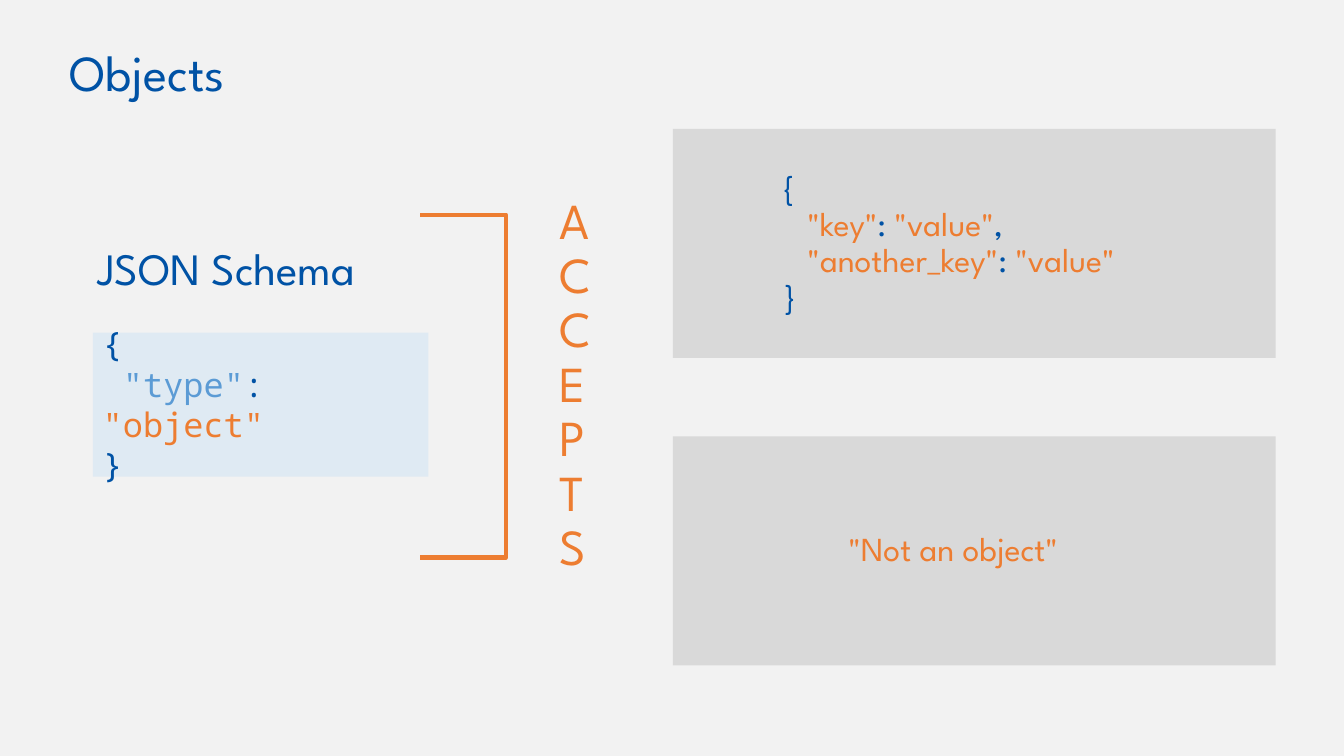
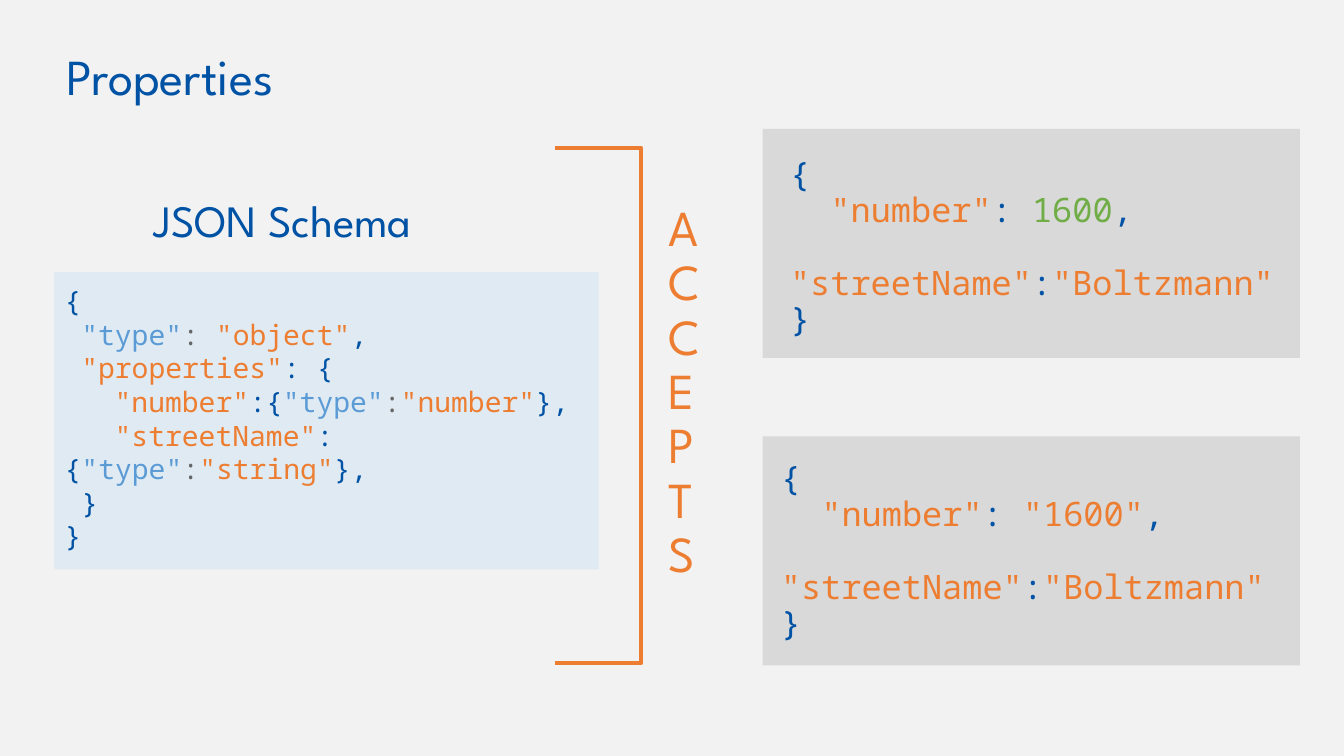
"""Build two slides that show what a JSON Schema accepts."""
import pptx
import pptx.dml.color
import pptx.enum.shapes
import pptx.enum.text
import pptx.util

Cm = pptx.util.Cm
Pt = pptx.util.Pt
SHAPES = pptx.enum.shapes.MSO_SHAPE

BLUE, SKY, ORANGE, GREEN, GREY = "0052A5", "5B9BD5", "ED7D31", "70AD47", "666666"
PAPER, SCHEMA_FILL, CARD_FILL = "F2F2F2", "DFEAF3", "D9D9D9"
SANS, MONO = "League Spartan", "Noto Sans Mono"
CARD_TOPS, CARD_HEIGHT = (3.25, 11), 5.77


def paint(target, colour):
    """Give a fill, or the colour of a font or line, a hex value."""
    if hasattr(target, "solid"):
        target.solid()
        target = target.fore_color
    target.rgb = pptx.dml.color.RGBColor.from_string(colour)


def add_text(page, lines, at, font=SANS, size=24, spacing=0.9, step=0.0, inset=(0.25, 0.13, 0.25, 0.13)):
    """Add lines of (indent in steps, space before, spans of text and colour)."""
    box = page.shapes.add_textbox(*map(Cm, at))
    frame = box.text_frame
    frame.word_wrap = True
    frame.auto_size = pptx.enum.text.MSO_AUTO_SIZE.NONE
    frame.vertical_anchor = pptx.enum.text.MSO_ANCHOR.MIDDLE
    frame.margin_left, frame.margin_top, frame.margin_right, frame.margin_bottom = map(Cm, inset)
    for index, (indent, before, spans) in enumerate(lines):
        para = frame.add_paragraph() if index else frame.paragraphs[0]
        para.line_spacing = spacing
        para.space_before = Pt(before)
        if indent:
            para._p.get_or_add_pPr().set("indent", str(Cm(indent * step)))
        for text, colour in spans:
            span = para.add_run()
            span.text = text
            span.font.name = font
            span.font.size = Pt(size)
            paint(span.font.color, colour)


OPEN = (0, 0, [("{", BLUE)])
CLOSE = (0, 0, [("}", BLUE)])
TYPE = [('"type"', SKY), (":", GREY)]


def address(number, colour):
    """Return the lines of an address whose number has the given colour."""
    street = [('"streetName"', ORANGE), (":", BLUE), ('"Boltzmann"', ORANGE)]
    return [
        OPEN,
        (2, 0, [('"number"', ORANGE), (": ", BLUE), (number, colour), (",", BLUE)]),
        (0, 26, street),
        CLOSE,
    ]


object_schema = [
    OPEN,
    (1, 0, [('"type"', SKY), (":", BLUE), (' "object"', ORANGE)]),
    CLOSE,
]
property_schema = [
    OPEN,
    (1, 0, [('"type"', SKY), (": ", GREY), ('"object"', ORANGE), (",", BLUE)]),
    (1, 0, [('"properties"', ORANGE), (": {", BLUE)]),
    (3, 0, [('"number"', ORANGE), (":{", BLUE), *TYPE, ('"number"', ORANGE), ("},", BLUE)]),
    (3, 0, [('"streetName"', ORANGE), (":{", BLUE), *TYPE, ('"string"', ORANGE), ("},", BLUE)]),
    (1, 0, [("}", BLUE)]),
    CLOSE,
]
key_values = [
    OPEN,
    (1, 0, [('"key"', ORANGE), (": ", BLUE), ('"value"', ORANGE), (",", BLUE)]),
    (1, 0, [('"another_key"', ORANGE), (": ", BLUE), ('"value"', ORANGE)]),
    CLOSE,
]
plain_string = [(0, 0, [('"Not an object"', ORANGE)])]

slides = [
    dict(
        title="Objects", title_at=(1.5, 0.05, 16, 3.68),
        heading_at=(2.21, 4.98, 8.71, 3.68),
        panel=(2.34, 8.38, 8.46, 3.63),
        schema=object_schema, schema_at=(2.34, 8.51, 8.48, 3.33),
        schema_format=dict(step=0.51),
        bracket=(10.59, 5.41, 2.16, 8.64), accepts_at=(13.84, 2.21, 1.5, 15.04),
        card_left=16.96, card_width=15.19,
        examples=[(key_values, (19.48, 3.4, 10.16, 5.46)), (plain_string, (21.13, 12.62, 6.86, 2.49))],
        example_format=dict(step=0.62),
    ),
    dict(
        title="Properties", title_at=(1.42, 0.15, 7.59, 3.68),
        heading_at=(3.63, 3.78, 8.84, 3.68),
        panel=(1.37, 6.86, 13.72, 7.49),
        schema=property_schema, schema_at=(1.63, 7.54, 13.72, 6.17),
        schema_format=dict(size=20, step=0.42, inset=(0, 0, 0, 0.18)),
        bracket=(14, 3.73, 2.16, 12.98), accepts_at=(16.59, 2.39, 1.5, 15.04),
        card_left=19.22, card_width=13.54,
        examples=[
            (address("1600", GREEN), (19.66, 3.53, 13.11, 5.46)),
            (address('"1600"', ORANGE), (19.43, 11.18, 13.11, 5.46)),
        ],
        example_format=dict(font=MONO, step=0.51),
    ),
]

deck = pptx.Presentation()
deck.slide_width, deck.slide_height = Cm(33.87), Cm(19.05)
paint(deck.slide_master.background.fill, PAPER)

for slide in slides:
    page = deck.slides.add_slide(deck.slide_layouts[6])

    panels = [(slide["panel"], SCHEMA_FILL)]
    for top in CARD_TOPS:
        panels.append(((slide["card_left"], top, slide["card_width"], CARD_HEIGHT), CARD_FILL))
    for at, colour in panels:
        panel = page.shapes.add_shape(SHAPES.RECTANGLE, *map(Cm, at))
        panel.shadow.inherit = False
        paint(panel.fill, colour)
        panel.line.fill.background()

    bracket = page.shapes.add_shape(SHAPES.RIGHT_BRACKET, *map(Cm, slide["bracket"]))
    bracket.shadow.inherit = False
    bracket.adjustments[0] = 0
    bracket.fill.background()
    paint(bracket.line.color, ORANGE)
    bracket.line.width = Pt(3)

    add_text(page, [(0, 0, [(slide["title"], BLUE)])], slide["title_at"], size=36)
    add_text(page, [(0, 0, [("JSON Schema", BLUE)])], slide["heading_at"], size=32)
    add_text(page, [(0, 0, [(letter, ORANGE)]) for letter in "ACCEPTS"], slide["accepts_at"], size=36)
    add_text(page, slide["schema"], slide["schema_at"], font=MONO, spacing=1.0, **slide["schema_format"])
    for lines, at in slide["examples"]:
        add_text(page, lines, at, **slide["example_format"])

deck.save("out.pptx")
